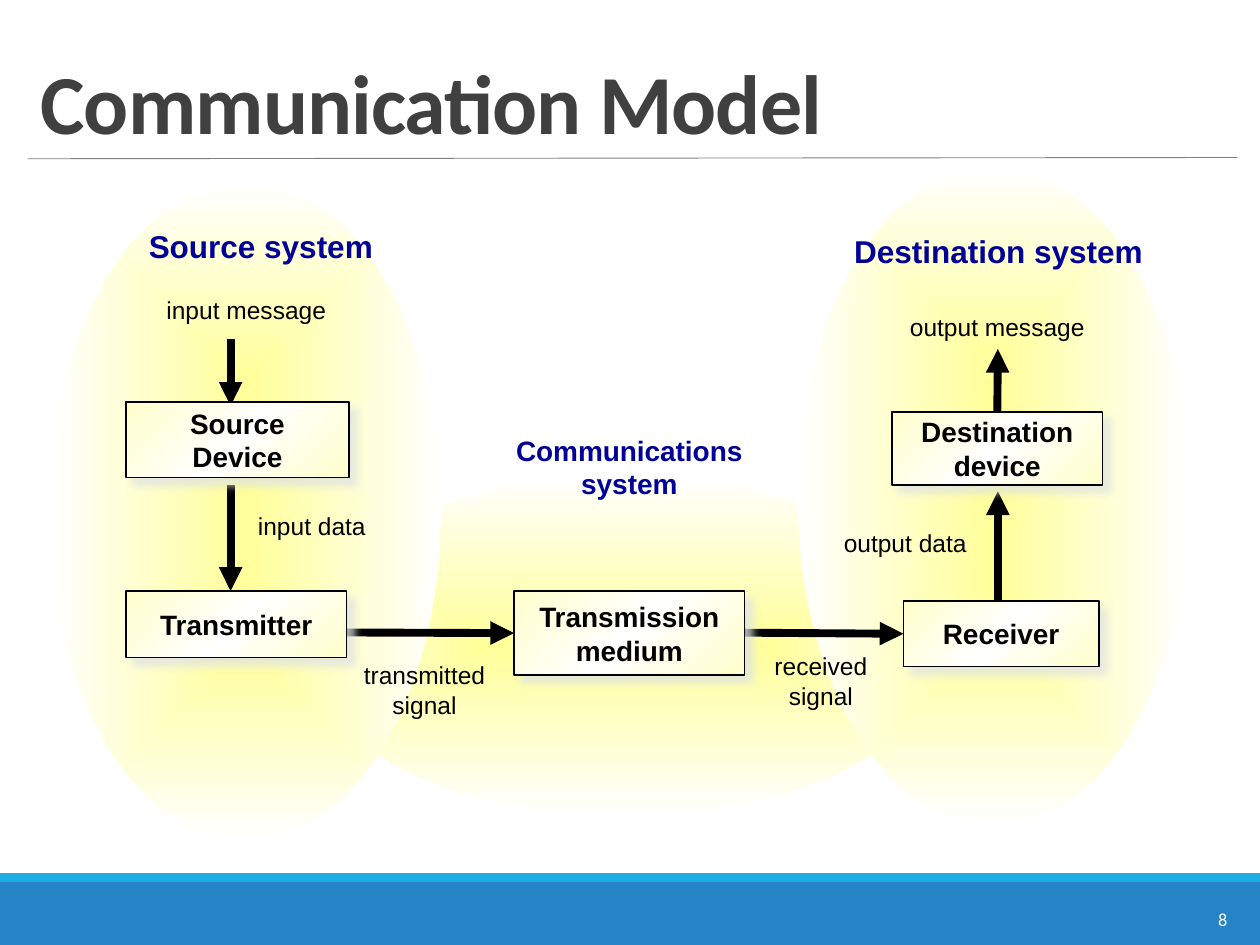
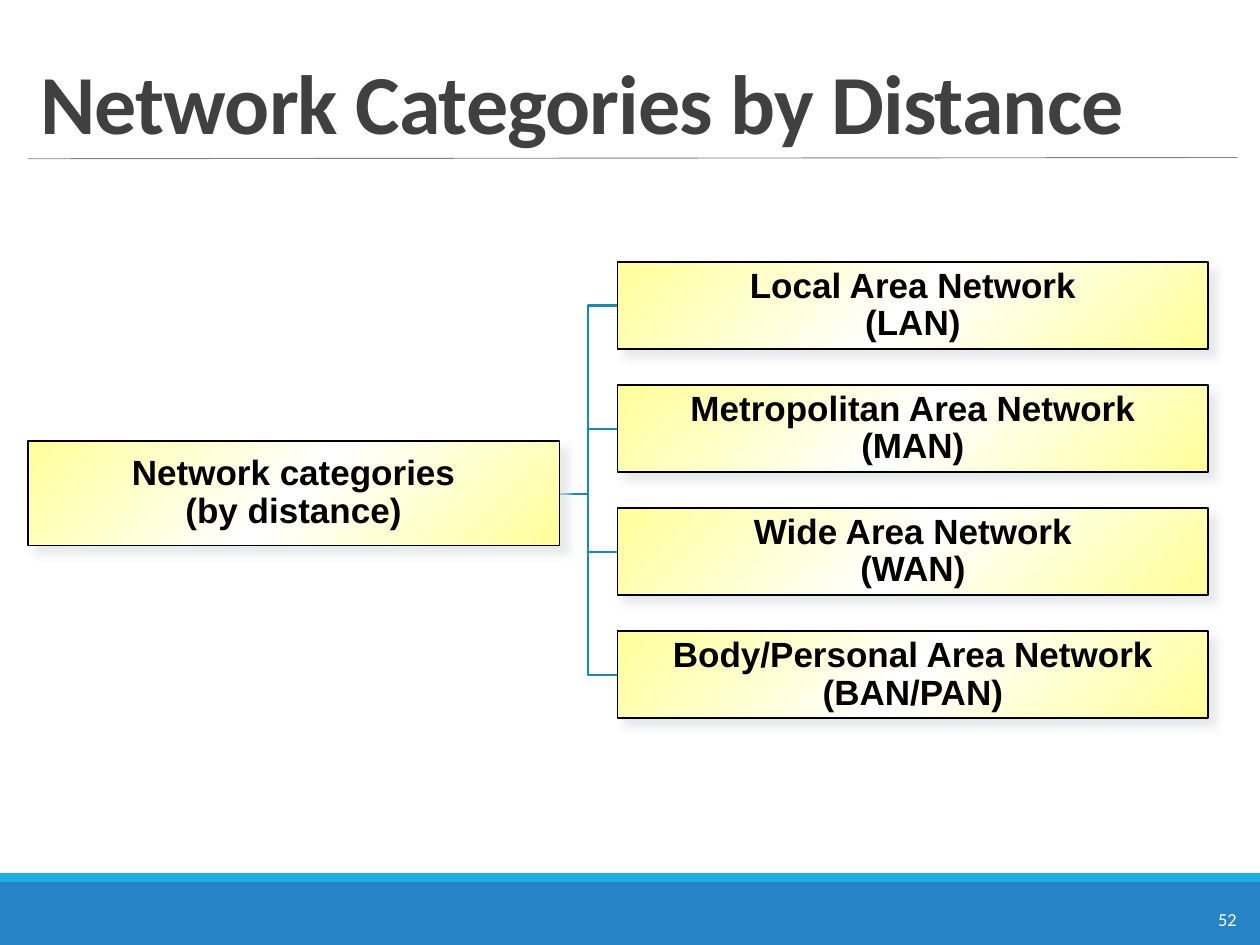
from lxml import etree
from pptx import Presentation
from pptx.dml.color import RGBColor
from pptx.enum import shapes, text
from pptx.oxml import parse_xml
from pptx.oxml.ns import nsdecls, qn
from pptx.util import Inches, Pt

BLACK, WHITE, NAVY = "000000", "FFFFFF", "000099"
TITLE_GREY, RULE_GREY, SHADOW_GREY = "404040", "808080", "DFE3E5"
BAND_BLUE, STRIPE_BLUE, BRANCH_BLUE = "2683C6", "1CADE4", "168BB7"
YELLOW, PALE_YELLOW = "FFFF99", "FFFFCC"
CENTER, LEFT = text.PP_ALIGN.CENTER, text.PP_ALIGN.LEFT
RECTANGLE = shapes.MSO_SHAPE.RECTANGLE
STRAIGHT = shapes.MSO_CONNECTOR.STRAIGHT


def write(shape, words, size, color, bold=False, align=CENTER, font="Arial",
          wrap=False, spacing=None):
    frame = shape.text_frame
    frame.text = words
    frame.word_wrap = wrap
    for paragraph in frame.paragraphs:
        paragraph.alignment = align
        paragraph.line_spacing = spacing
        for run in paragraph.runs:
            run.font.name, run.font.size, run.font.bold = font, Pt(size), bold
            run.font.color.rgb = RGBColor.from_string(color)


def paint(shape, colors, boxed):
    """Gradient fill: diagonal with outline and shadow if boxed, else from the centre."""
    stops = "".join(
        f'<a:gs pos="{100000 * i // (len(colors) - 1)}"><a:srgbClr val="{color}"/></a:gs>'
        for i, color in enumerate(colors))
    direction = ('<a:lin ang="2700000" scaled="1"/>' if boxed else
                 '<a:path path="shape"><a:fillToRect l="50000" t="50000" '
                 'r="50000" b="50000"/></a:path>')
    properties = shape.element.spPr
    properties.append(parse_xml(
        f'<a:gradFill rotWithShape="1" {nsdecls("a")}><a:gsLst>{stops}</a:gsLst>'
        f'{direction}</a:gradFill>'))
    shape.shadow.inherit = False
    if not boxed:
        shape.line.fill.background()
        return
    shape.line.color.rgb = RGBColor.from_string(BLACK)
    shape.line.width = Pt(1)
    properties.find(qn("a:effectLst")).append(parse_xml(
        f'<a:outerShdw blurRad="{Pt(5)}" dist="{Pt(5.7)}" dir="2700000" algn="ctr" '
        f'rotWithShape="0" {nsdecls("a")}><a:srgbClr val="{SHADOW_GREY}">'
        f'<a:alpha val="75000"/></a:srgbClr></a:outerShdw>'))
    shape.text_frame.vertical_anchor = text.MSO_ANCHOR.MIDDLE


presentation = Presentation()
presentation.slide_width, presentation.slide_height = Inches(10), Inches(7.5)
layout = presentation.slide_layouts[5]

# Titles and slide numbers
slides = []
for heading, number in [("Communication Model", "8"),
                        ("Network Categories by Distance", "52")]:
    slide = presentation.slides.add_slide(layout)
    slides.append(slide)
    title = slide.shapes.title
    title.left, title.top, title.width, title.height = map(Inches, (0.22, 0.25, 9.6, 1))
    write(title, heading, 48, TITLE_GREY, True, LEFT, "Calibri", True, 0.85)
    title.text_frame.vertical_anchor = text.MSO_ANCHOR.BOTTOM
    title.text_frame.auto_size = text.MSO_AUTO_SIZE.NONE
    for properties in title.element.iter(qn("a:rPr")):
        properties.set("spc", "-50")
    number_box = slide.shapes.add_textbox(*map(Inches, (9.57, 7.16, 0.37, 0.28)))
    write(number_box, number, 10.5, WHITE, align=LEFT, font="Calibri")
model, categories = slides

# Shared bands and title rule, moved to the layout
for top, height, color in [(7, 0.5, BAND_BLUE), (6.93, 0.07, STRIPE_BLUE)]:
    band = model.shapes.add_shape(RECTANGLE, 0, Inches(top), Inches(10), Inches(height))
    band.fill.solid()
    band.fill.fore_color.rgb = RGBColor.from_string(color)
    band.line.fill.background()
    band.shadow.inherit = False
    layout.shapes.element.append(band.element)
rule = model.shapes.add_connector(STRAIGHT, *map(Inches, (0.22, 1.26, 9.82, 1.25)))
rule.line.color.rgb = RGBColor.from_string(RULE_GREY)
rule.line.width = Pt(0.5)
etree.SubElement(rule.element.spPr, qn("a:effectLst"))
layout.shapes.element.append(rule.element)

# Communication model: glowing systems
for left, top, width, height, rotation in [(3.6, 2.59, 2.71, 5.07, 90),
                                           (6.33, 1.33, 3.11, 5.22, 0),
                                           (0.39, 1.45, 3.11, 5.22, 0)]:
    system = model.shapes.add_shape(
        shapes.MSO_SHAPE.OVAL, *map(Inches, (left, top, width, height)))
    system.rotation = rotation
    paint(system, [YELLOW, WHITE], boxed=False)

# Communication model: devices
devices = {}
for name, *place in [("Source\nDevice", 1, 3.19, 1.77, 0.6),
                     ("Transmitter", 1, 4.69, 1.75, 0.53),
                     ("Transmission\nmedium", 4.08, 4.69, 1.83, 0.67),
                     ("Receiver", 7.17, 4.77, 1.55, 0.52),
                     ("Destination\ndevice", 7.08, 3.27, 1.67, 0.58)]:
    device = model.shapes.add_shape(RECTANGLE, *map(Inches, place))
    paint(device, [PALE_YELLOW, WHITE, PALE_YELLOW], boxed=True)
    write(device, name, 16, BLACK, bold=True)
    devices[name] = device

# Communication model: arrows, behind the devices
for ends, source, target in [((1.83, 2.69, 1.83, 3.22), None, None),
                             ((1.83, 3.85, 1.83, 4.69), None, None),
                             ((2.75, 5.02, 4.08, 5.02), None, "Transmission\nmedium"),
                             ((7.92, 3.27, 7.92, 2.77), "Destination\ndevice", None),
                             ((7.92, 4.81, 7.92, 3.9), None, None),
                             ((5.67, 5.02, 7.17, 5.02), None, "Receiver")]:
    arrow = model.shapes.add_connector(STRAIGHT, *map(Inches, ends))
    if source:
        arrow.begin_connect(devices[source], 0)
    if target:
        arrow.end_connect(devices[target], 1)
    arrow.line.color.rgb = RGBColor.from_string(BLACK)
    arrow.line.width = Pt(4.5)
    etree.SubElement(arrow.line._get_or_add_ln(), qn("a:tailEnd"), type="triangle")
    etree.SubElement(arrow.element.spPr, qn("a:effectLst"))
    devices["Source\nDevice"].element.addprevious(arrow.element)

# Communication model: system names and signal labels
for words, size, *place in [("Communications\nsystem", 16, 3.93, 3.39, 2.13, 0.64),
                            ("Source system", 18, 1.08, 1.75, 1.98, 0.4),
                            ("Destination system", 18, 6.68, 1.79, 2.49, 0.4),
                            ("input message", 14, 0.79, 2.29, 2.33, 0.34),
                            ("input data", 14, 1.83, 4.01, 1.29, 0.33),
                            ("transmitted\nsignal", 14, 2.4, 5.19, 1.94, 0.57),
                            ("received\nsignal", 14, 5.66, 5.12, 1.71, 0.57),
                            ("output data", 14, 6.5, 4.14, 1.37, 0.33),
                            ("output message", 14, 7.09, 2.43, 1.65, 0.34)]:
    label = model.shapes.add_textbox(*map(Inches, place))
    is_system = size > 14
    write(label, words, size, NAVY if is_system else BLACK, bold=is_system)

# Network categories: root, then evenly spaced branches
ROOT_RIGHT, ROOT_MIDDLE, TRUNK, BRANCH_LEFT = 4.44, 3.92, 4.67, 4.9
FIRST_TOP, LAST_TOP, BRANCH_HEIGHT = 2.08, 5.01, 0.69
networks = ["Local Area Network\v(LAN)", "Metropolitan Area Network\v(MAN)",
            "Wide Area Network\v(WAN)", "Body/Personal Area Network\v(BAN/PAN)"]
boxes = [("Network categories\v(by distance)", 0.22, 3.5, 4.22, 0.83)]
for i, network in enumerate(networks):
    top = FIRST_TOP + i * (LAST_TOP - FIRST_TOP) / (len(networks) - 1)
    boxes.append((network, BRANCH_LEFT, top, 4.69, BRANCH_HEIGHT))
    middle = top + BRANCH_HEIGHT / 2
    builder = categories.shapes.build_freeform(Inches(ROOT_RIGHT), Inches(ROOT_MIDDLE))
    builder.add_line_segments(
        [(Inches(x), Inches(y)) for x, y in
         [(TRUNK, ROOT_MIDDLE), (TRUNK, middle), (BRANCH_LEFT, middle)]], close=False)
    branch = builder.convert_to_shape()
    branch.fill.background()
    branch.line.color.rgb = RGBColor.from_string(BRANCH_BLUE)
    branch.line.width = Pt(1.25)
    branch.shadow.inherit = False

for words, *place in boxes:
    box = categories.shapes.add_shape(RECTANGLE, *map(Inches, place))
    paint(box, [YELLOW, WHITE, YELLOW], boxed=True)
    write(box, words, 20, BLACK, bold=True, wrap=True, spacing=0.9)
    frame = box.text_frame
    frame.margin_left = frame.margin_right = Inches(0.01)
    frame.margin_top = frame.margin_bottom = Inches(0.01)

presentation.save("out.pptx")
